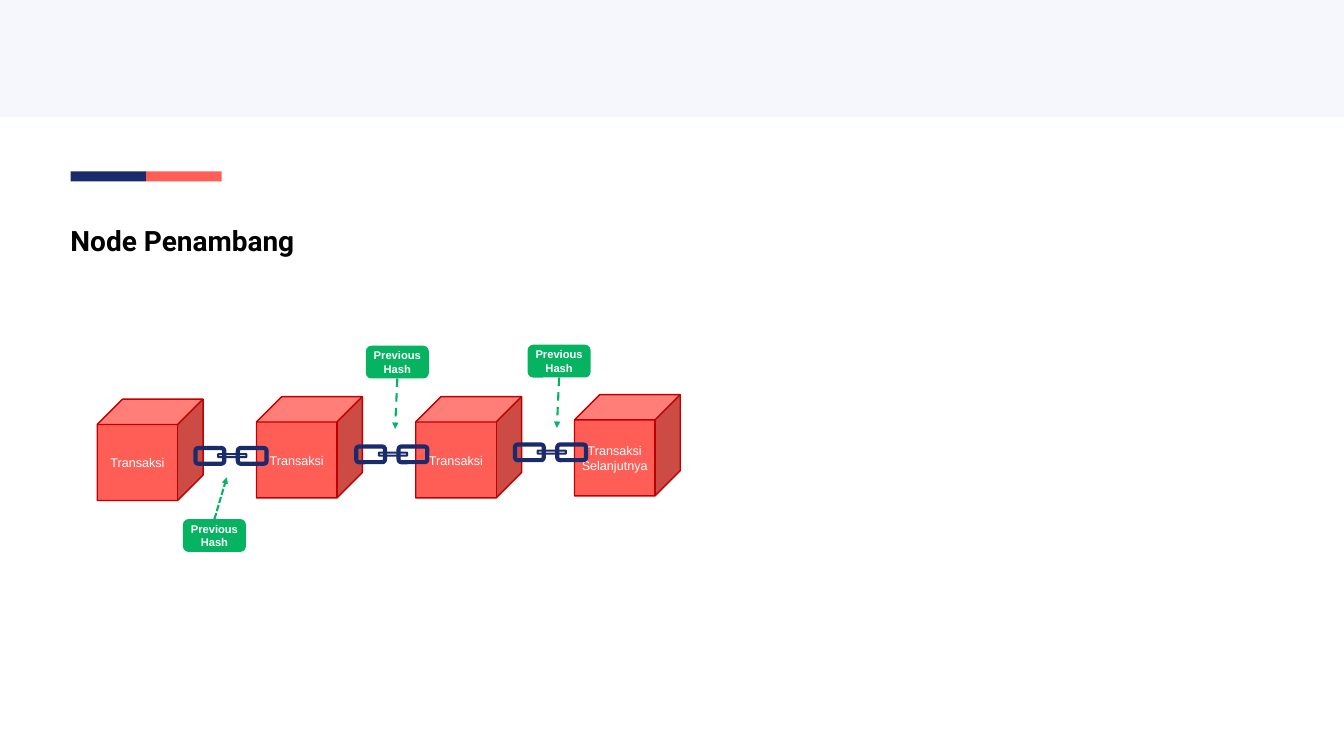
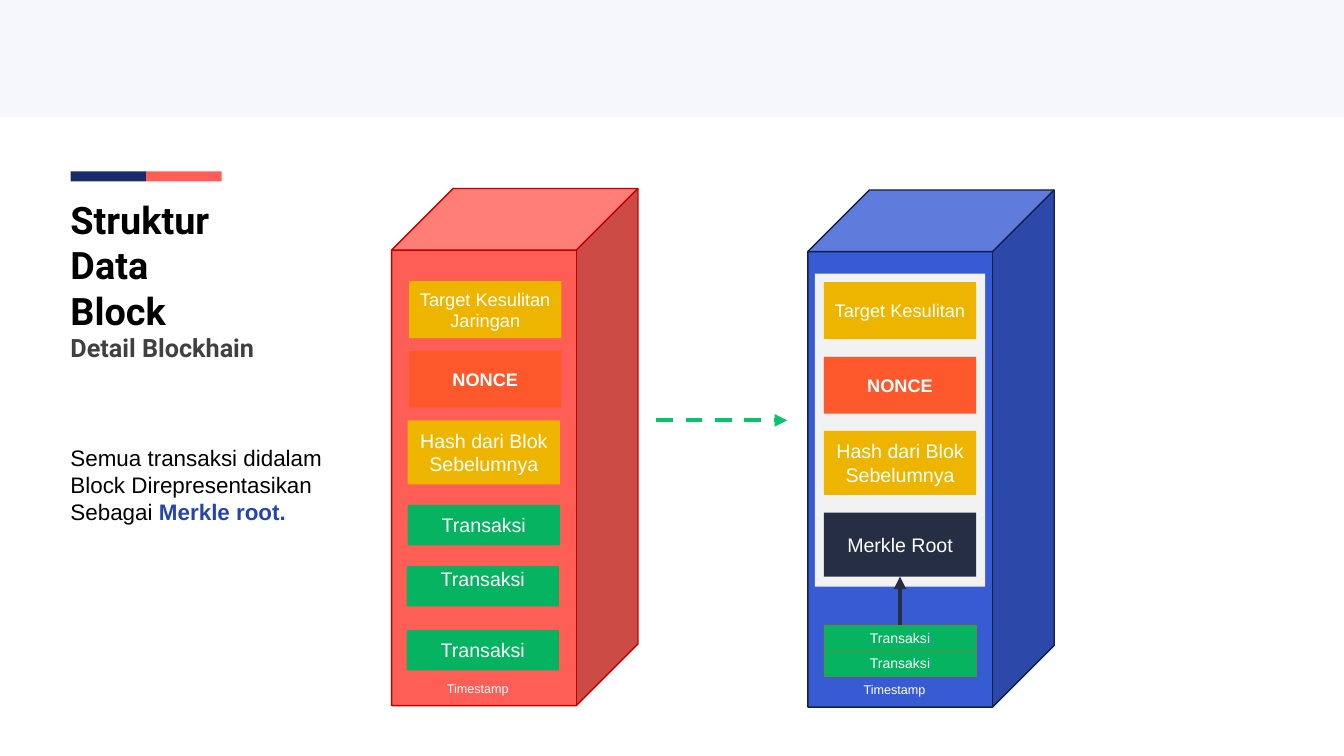
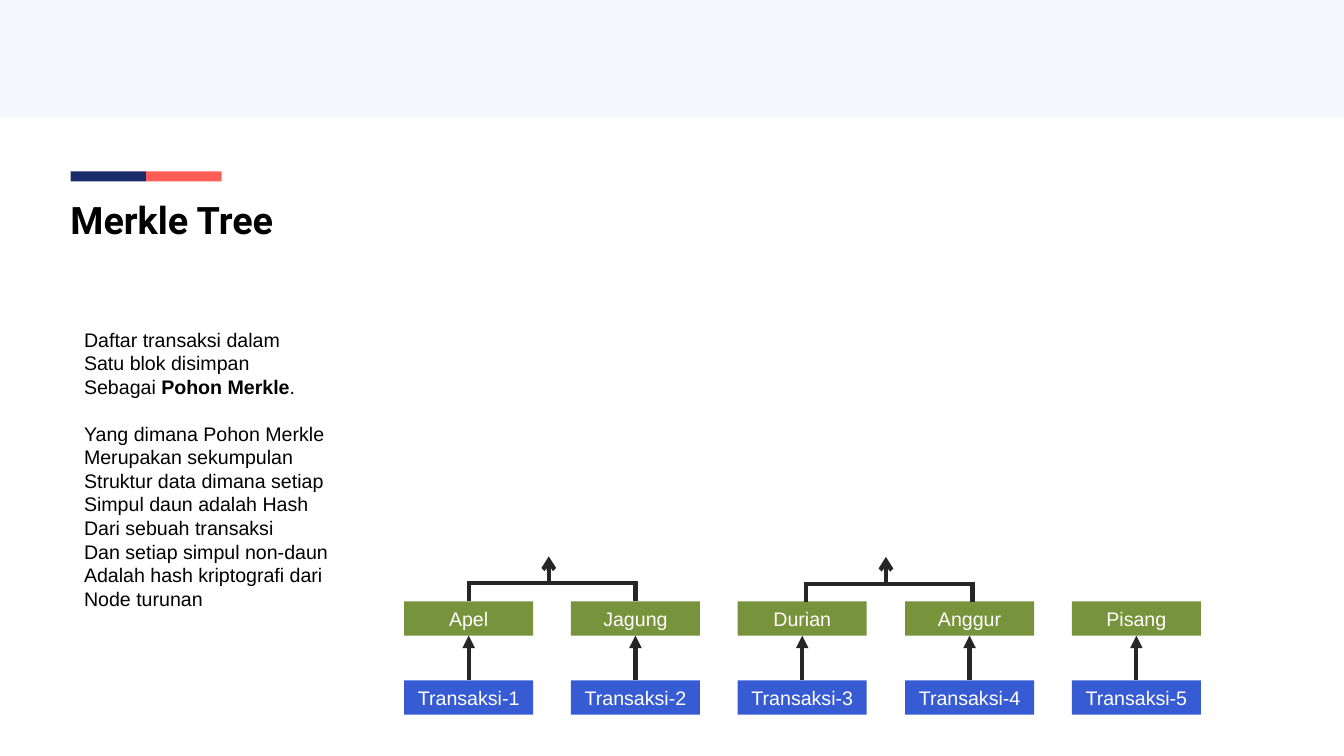
from lxml.etree import SubElement
from pptx import Presentation
from pptx.dml.color import RGBColor
from pptx.enum.dml import MSO_LINE
from pptx.enum.shapes import MSO_CONNECTOR, MSO_SHAPE
from pptx.enum.text import MSO_ANCHOR, MSO_AUTO_SIZE, PP_ALIGN
from pptx.oxml.ns import qn
from pptx.util import Pt

EMU_PER_PX = 9144  # 100 px to the inch
SLIDE_SIZE = (2667, 1500)
TOP, BOTTOM = 0, 2  # connection sites of a rectangle

COLORS = {
    "band": "F5F7FD",
    "navy": "1A2B6B",
    "coral": "FF5E57",
    "crimson": "C00000",
    "green": "05B360",
    "arrow_green": "05C46B",
    "moss": "5F9127",
    "olive": "77933C",
    "amber": "EEB500",
    "orange": "FD582B",
    "blue": "375BD2",
    "deep_blue": "111F4B",
    "root_blue": "2645AA",
    "slate": "252E42",
    "panel": "F2F2F2",
    "charcoal": "262626",
    "gray": "404040",
    "white": "FFFFFF",
    "black": "000000",
}

BASE_STYLE = {"name": "Arial", "size": 28, "bold": False, "color": "white"}
TITLE_STYLE = {"name": "Roboto", "size": 54, "bold": True, "color": "black"}
BODY_STYLE = {"color": "black"}


def px(length):
    return round(length * EMU_PER_PX)


def rgb(color):
    return RGBColor.from_string(COLORS[color])


def write(shape, lines, style, align):
    """Write one paragraph a line; a line is a string or a list of (text, style) runs."""
    frame = shape.text_frame
    for index, line in enumerate(lines):
        paragraph = frame.paragraphs[0] if index == 0 else frame.add_paragraph()
        paragraph.alignment = align
        for text, changes in [(line, {})] if isinstance(line, str) else line:
            run = paragraph.add_run()
            run.text = text
            font_format = {**BASE_STYLE, **style, **changes}
            run.font.color.rgb = rgb(font_format.pop("color"))
            font_format["size"] = Pt(font_format["size"])
            for attribute, value in font_format.items():
                setattr(run.font, attribute, value)


def add_box(shapes, box, fill=None, line=None, lines=(), style=None, kind=MSO_SHAPE.RECTANGLE):
    """Add a preset shape; line is a (color, points) pair."""
    shape = shapes.add_shape(kind, *map(px, box))
    shape.shadow.inherit = False
    if fill:
        shape.fill.solid()
        shape.fill.fore_color.rgb = rgb(fill)
    else:
        shape.fill.background()
    if line:
        color, width = line
        shape.line.color.rgb = rgb(color)
        shape.line.width = Pt(width)
    else:
        shape.line.fill.background()
    shape.text_frame.vertical_anchor = MSO_ANCHOR.MIDDLE
    write(shape, lines, style or {}, PP_ALIGN.CENTER)
    return shape


def add_text(shapes, box, lines, style, wrap=False, fill=None):
    shape = shapes.add_textbox(*map(px, box))
    shape.text_frame.word_wrap = wrap
    if not wrap:
        shape.text_frame.auto_size = MSO_AUTO_SIZE.SHAPE_TO_FIT_TEXT
    if fill:
        shape.fill.solid()
        shape.fill.fore_color.rgb = rgb(fill)
    write(shape, lines, style, PP_ALIGN.LEFT)


def add_line(shapes, start, end, color="charcoal", width=6, dash=None, head=None,
             begin=None, finish=None):
    """Add a straight connector; begin and finish are (shape, site) pairs."""
    line = shapes.add_connector(MSO_CONNECTOR.STRAIGHT, *map(px, (*start, *end)))
    if begin:
        line.begin_connect(*begin)
    if finish:
        line.end_connect(*finish)
    line.line.color.rgb = rgb(color)
    line.line.width = Pt(width)
    if dash:
        line.line.dash_style = dash
    properties = line.element.spPr
    if head:
        SubElement(properties.find(qn("a:ln")), qn("a:tailEnd"), type=head)
    SubElement(properties, qn("a:effectLst"))


def add_group(shapes):
    return shapes.add_group_shape().shapes


def start_slide(presentation, title, title_top=385, title_size=54):
    """Add a blank slide with the band, the two-colour accent and the title."""
    shapes = presentation.slides.add_slide(presentation.slide_layouts[6]).shapes
    add_box(shapes, (0, 0, SLIDE_SIZE[0], 232), "band")
    for left, color in ((140, "navy"), (290, "coral")):
        add_box(shapes, (left, 340, 150, 20), color)
    add_text(shapes, (130, title_top, 1989, 149), title,
             {**TITLE_STYLE, "size": title_size}, wrap=True)
    return shapes


def add_chain(shapes, left, top):
    chain = add_group(shapes)
    for box, width in (((left, top, 57, 31), 6), ((left + 84, top, 57, 31), 6),
                       ((left + 45, top + 12, 56, 6), 3)):
        add_box(chain, box, line=("navy", width), kind=MSO_SHAPE.ROUNDED_RECTANGLE)


def add_hash_label(shapes, left, top, site, tip, dash):
    """Add a label with a dashed arrow from one of its sides to tip."""
    label = add_box(shapes, (left, top, 125, 65), "green", lines=["Previous", "Hash"],
                    style={"size": 16, "bold": True}, kind=MSO_SHAPE.ROUNDED_RECTANGLE)
    add_line(shapes, (left, top), tip, "green", 3, dash, "triangle", begin=(label, site))


def add_fields(shapes, left, width, fields):
    """Add (top, height, fill, size, lines) fields in one column."""
    return [
        add_box(shapes, (left, top, width, height), fill, lines=lines,
                style={"size": size, "bold": lines == ["NONCE"]})
        for top, height, fill, size, lines in fields
    ]


def add_bracket(shapes, left, bottom, feet=(None, None)):
    """Join two leaves and point up to their parent."""
    bar = bottom - 36
    middle = left + 170
    for x, foot in zip((left, left + 331), feet):
        add_line(shapes, (x, bottom), (x, bottom - 40), begin=foot and (foot, TOP))
    for start, end in ((left - 2, middle), (middle, left + 335)):
        add_line(shapes, (start, bar), (end, bar))
    add_line(shapes, (left + 159, bar), (left + 159, bottom - 89), head="arrow")


def build_mining_slide(presentation):
    shapes = start_slide(presentation, ["Node Penambang"], 438, 40)
    cubes = ((193, 792, []), (509, 787, []), (825, 787, []), (1140, 783, ["Selanjutnya"]))
    for left, top, extra in cubes:
        add_box(shapes, (left, top, 210, 201), "coral", ("crimson", 2),
                ["Transaksi", *extra], {"size": 18}, MSO_SHAPE.CUBE)
    for left, top in ((388, 889), (707, 886), (1022, 882)):
        add_chain(shapes, left, top)
    add_hash_label(shapes, 363, 1030, TOP, (450, 947), MSO_LINE.SQUARE_DOT)
    add_hash_label(shapes, 726, 686, BOTTOM, (784, 851), MSO_LINE.DASH)
    add_hash_label(shapes, 1047, 684, BOTTOM, (1105, 849), MSO_LINE.DASH)


def build_block_slide(presentation):
    subtitle = [("Detail Blockhain", {"size": 36, "color": "gray"})]
    shapes = start_slide(presentation, ["Struktur", "Data", "Block", subtitle])
    previous_hash = ["Hash dari Blok", "Sebelumnya"]
    timestamp_style = {"size": 18}

    block = add_group(shapes)
    add_box(block, (777, 374, 489, 1026), "coral", ("crimson", 2), kind=MSO_SHAPE.CUBE)
    add_fields(block, 812, 302, (
        (558, 113, "amber", 26, ["Target Kesulitan", "Jaringan"]),
        (696, 113, "orange", 26, ["NONCE"]),
    ))
    add_fields(block, 809, 302, (
        (834, 127, "amber", 28, previous_hash),
        (1002, 80, "green", 28, ["Transaksi"]),
    ))
    raised, _ = add_fields(block, 807, 302, (
        (1123, 80, "green", 28, ["Transaksi"]),
        (1250, 80, "green", 28, ["Transaksi"]),
    ))
    raised.text_frame.margin_bottom = px(34)
    add_text(block, (877, 1346, 144, 40), ["Timestamp"], timestamp_style)

    add_line(shapes, (1302, 834), (1562, 834), "arrow_green", 6, MSO_LINE.DASH, "triangle")

    merkle_block = add_group(shapes)
    add_box(merkle_block, (1603, 377, 489, 1026), "blue", ("deep_blue", 2),
            kind=MSO_SHAPE.CUBE)
    add_text(merkle_block, (1704, 1348, 144, 40), ["Timestamp"], timestamp_style, fill="blue")
    header = add_group(shapes)
    add_box(header, (1617, 543, 338, 621), "panel")
    *_, merkle_root = add_fields(header, 1635, 302, (
        (560, 113, "amber", 26, ["Target Kesulitan"]),
        (708, 113, "orange", 26, ["NONCE"]),
        (855, 127, "amber", 28, previous_hash),
        (1017, 127, "slate", 28, ["Merkle Root"]),
    ))
    transactions = [
        add_box(shapes, (1635, top, 302, 50), "green", ("moss", 0.75),
                ["Transaksi"], {"size": 20})
        for top in (1240, 1291)
    ]
    add_line(shapes, (1786, 1240), (1786, 1144), "slate", head="triangle",
             begin=(transactions[0], TOP), finish=(merkle_root, BOTTOM))
    add_text(shapes, (130, 876, 536, 172), [
        "Semua transaksi didalam",
        "Block Direpresentasikan",
        [("Sebagai ", {}), ("Merkle root.", {"color": "root_blue", "bold": True})],
    ], {**BODY_STYLE, "size": 32})


def build_tree_slide(presentation):
    shapes = start_slide(presentation, ["Merkle Tree"])
    add_text(shapes, (157, 645, 444, 151), [
        "Daftar transaksi dalam",
        "Satu blok disimpan",
        [("Sebagai ", {}), ("Pohon Merkle", {"bold": True}), (".", {})],
    ], BODY_STYLE)
    add_text(shapes, (157, 832, 510, 387), [
        "Yang dimana Pohon Merkle",
        "Merupakan sekumpulan",
        "Struktur data dimana setiap",
        "Simpul daun adalah Hash",
        "Dari sebuah transaksi",
        "Dan setiap simpul non-daun",
        "Adalah hash kriptografi dari",
        "Node turunan",
    ], BODY_STYLE)

    leaves = []
    for index, name in enumerate(("Apel", "Jagung", "Durian", "Anggur", "Pisang")):
        left = round(802 + 331.25 * index)
        transaction = add_box(shapes, (left, 1350, 256, 68), "blue",
                              lines=[f"Transaksi-{index + 1}"])
        leaf = add_box(shapes, (left, 1193, 256, 68), "olive", lines=[name])
        add_line(shapes, (left, 1350), (left, 1261), head="triangle",
                 begin=(transaction, TOP), finish=(leaf, BOTTOM))
        leaves.append(leaf)
    add_bracket(shapes, 930, 1193, leaves[:2])
    add_bracket(add_group(shapes), 1599, 1194)


def main():
    presentation = Presentation()
    presentation.slide_width, presentation.slide_height = map(px, SLIDE_SIZE)
    build_mining_slide(presentation)
    build_block_slide(presentation)
    build_tree_slide(presentation)
    presentation.save("out.pptx")


if __name__ == "__main__":
    main()
